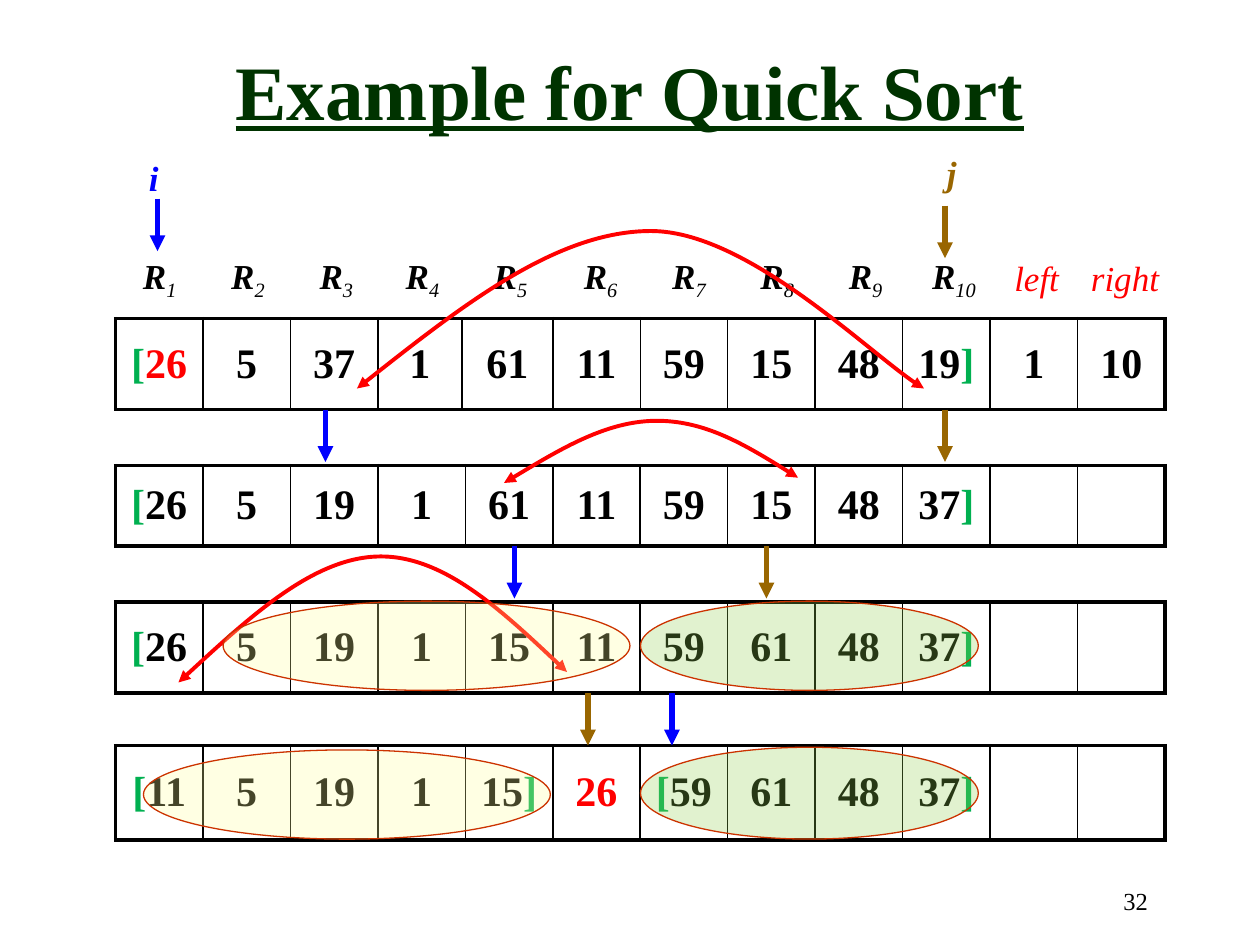
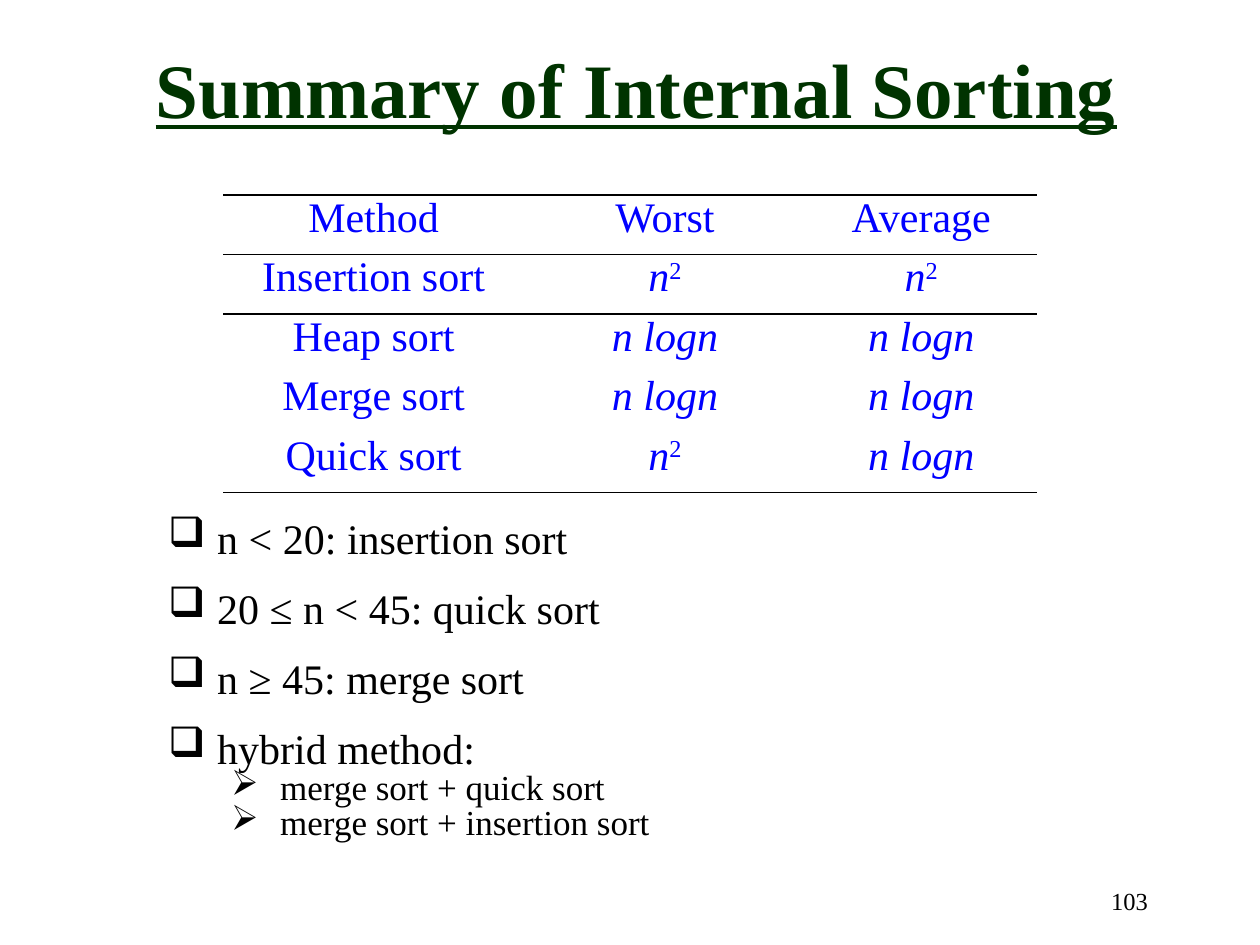
from lxml.etree import SubElement
from pptx import Presentation
from pptx.dml.color import RGBColor
from pptx.enum.shapes import MSO_CONNECTOR, MSO_SHAPE
from pptx.enum.text import MSO_ANCHOR, PP_ALIGN
from pptx.oxml.ns import qn
from pptx.util import Pt

FONT = "Times New Roman"
BLACK = RGBColor(0x00, 0x00, 0x00)
TITLE_GREEN = RGBColor(0x00, 0x33, 0x00)
BRACKET_GREEN = RGBColor(0x00, 0xB0, 0x50)
RED = RGBColor(0xFF, 0x00, 0x00)
BLUE = RGBColor(0x00, 0x00, 0xFF)
BROWN = RGBColor(0x99, 0x66, 0x00)
RUST = RGBColor(0xCC, 0x33, 0x00)
PALE_YELLOW = RGBColor(0xFF, 0xFF, 0x99)
LIME = RGBColor(0x92, 0xD0, 0x50)

NO_TABLE_STYLE = "{2D5ABB26-0587-4C30-8999-92F81FD0307C}"
THIN, THICK = 1, 2.25

# Top, height, values and column of the pivot shown in red
SORT_STEPS = [
    (182, 52, "[26 5 37 1 61 11 59 15 48 19] 1 10", 0),
    (266, 46, "[26 5 19 1 61 11 59 15 48 37]", None),
    (344, 52, "[26 5 19 1 15 11 59 61 48 37]", None),
    (426, 54, "[11 5 19 1 15] 26 [59 61 48 37]", 5),
]
EVEN_COLUMNS = [50] * 12
FIRST_STEP_COLUMNS = [50] * 3 + [48, 52] + [50] * 7
LABEL_COLUMNS = [50.5] * 3 + [48, 52.5] + [50.5] * 5 + [44, 57]

POINTER_ARROWS = [
    (90, 113.5, BLUE), (540, 117.5, BROWN),
    (186, 234, BLUE), (540, 234, BROWN),
    (294, 312, BLUE), (438, 312, BROWN),
    (384, 396, BLUE), (336, 396, BROWN),
]
SWAP_CURVES = [
    [(204, 222), (261, 177), (318, 132), (372, 132), (426, 132), (502, 207), (528, 222)],
    [(102, 390), (140.5, 354.5), (179, 319), (216, 318), (253, 317), (289, 351), (324, 384)],
    [(288, 276), (317, 258.5), (346, 241), (374, 240.5), (402.5, 240), (429, 256), (456, 273)],
]
PARTITIONS = [
    (127.5, 343.5, 232.5, 51, PALE_YELLOW), (366, 343.5, 193, 51, LIME),
    (82, 428.5, 232.5, 51, PALE_YELLOW), (366, 427, 193, 52.5, LIME),
]

SUMMARY_ROWS = [
    ("Method", "Worst", "Average"),
    ("Insertion sort", "n²", "n²"),
    ("Heap sort", "n logn", "n logn"),
    ("Merge sort", "n logn", "n logn"),
    ("Quick sort", "n²", "n logn"),
]
ADVICE = [
    (0, "n < 20: insertion sort"),
    (0, "20 ≤ n < 45: quick sort"),
    (0, "n ≥ 45: merge sort"),
    (0, "hybrid method:"),
    (1, "merge sort + quick sort"),
    (1, "merge sort + insertion sort"),
]


def set_font(paragraph, size, color=None, bold=False, italic=False):
    font = paragraph.font
    font.name, font.size, font.bold, font.italic = FONT, Pt(size), bold, italic
    if color is not None:
        font.color.rgb = color


def add_run(paragraph, text, color=None, baseline=None):
    run = paragraph.add_run()
    run.text = text
    if color is not None:
        run.font.color.rgb = color
    if baseline is not None:
        run._r.get_or_add_rPr().set("baseline", str(baseline * 1000))
    return run


def add_text(slide, box, text, size, color, align=PP_ALIGN.LEFT, bold=False, italic=False):
    frame = slide.shapes.add_textbox(*map(Pt, box)).text_frame
    frame.word_wrap = True
    paragraph = frame.paragraphs[0]
    paragraph.text = text
    paragraph.alignment = align
    set_font(paragraph, size, color, bold, italic)
    return frame


def add_title(slide, box, text):
    frame = add_text(slide, box, text, 44, TITLE_GREEN, PP_ALIGN.CENTER, bold=True)
    frame.vertical_anchor = MSO_ANCHOR.MIDDLE
    frame.paragraphs[0].font.underline = True


def add_page_number(slide, number):
    add_text(slide, (513, 502.5, 150, 36), str(number), 14, BLACK, PP_ALIGN.RIGHT)


def add_plain_table(slide, left, top, column_widths, row_height, row_count=1):
    """Add a table without style, bands or fills."""
    frame = slide.shapes.add_table(
        row_count, len(column_widths), Pt(left), Pt(top),
        Pt(sum(column_widths)), Pt(row_height * row_count))
    table = frame.table
    table.first_row = table.horz_banding = False
    table._tbl.tblPr.find(qn("a:tableStyleId")).text = NO_TABLE_STYLE
    for column, width in zip(table.columns, column_widths):
        column.width = Pt(width)
    for row in table.rows:
        row.height = Pt(row_height)
    return table


def finish_cell(cell, **borders):
    """Draw borders, given as widths by side in the order L, R, T, B, and clear the fill."""
    properties = cell._tc.get_or_add_tcPr()
    for side, width in borders.items():
        line = SubElement(properties, qn(f"a:ln{side}"), w=str(Pt(width)))
        fill = SubElement(line, qn("a:solidFill"))
        SubElement(fill, qn("a:srgbClr"), val=str(BLACK))
    cell.fill.background()


def add_arrowheads(line, *ends):
    for end in ends:
        SubElement(line, qn(f"a:{end}"), type="triangle")


def add_sort_step(slide, left, top, height, values, pivot, column_widths):
    table = add_plain_table(slide, left, top, column_widths, height)
    last = len(column_widths) - 1
    texts = values.split()
    for index, cell in enumerate(table.rows[0].cells):
        cell.vertical_anchor = MSO_ANCHOR.MIDDLE
        finish_cell(cell, L=THIN if index else THICK, R=THICK if index == last else THIN,
                    T=THICK, B=THICK)
        if index >= len(texts):
            continue
        paragraph = cell.text_frame.paragraphs[0]
        paragraph.alignment = PP_ALIGN.CENTER
        set_font(paragraph, 24, bold=True)
        text = texts[index]
        if text.startswith("["):
            add_run(paragraph, "[", BRACKET_GREEN)
        add_run(paragraph, text.strip("[]"), RED if index == pivot else BLACK)
        if text.endswith("]"):
            add_run(paragraph, "]", BRACKET_GREEN)


def add_record_labels(slide, left, top):
    table = add_plain_table(slide, left, top, LABEL_COLUMNS, 52)
    for index, cell in enumerate(table.rows[0].cells):
        cell.vertical_anchor = MSO_ANCHOR.MIDDLE
        finish_cell(cell)
        paragraph = cell.text_frame.paragraphs[0]
        paragraph.alignment = PP_ALIGN.CENTER
        set_font(paragraph, 20, RED if index >= 10 else BLACK, italic=True)
        if index < 10:
            add_run(paragraph, "R").font.bold = True
            add_run(paragraph, str(index + 1), baseline=-25)
        else:
            add_run(paragraph, ("left", "right")[index - 10])


def add_pointer_arrow(slide, x, top, color, length=30):
    arrow = slide.shapes.add_connector(
        MSO_CONNECTOR.STRAIGHT, Pt(x), Pt(top), Pt(x), Pt(top + length))
    arrow.line.color.rgb = color
    arrow.line.width = Pt(3)
    add_arrowheads(arrow.line._get_or_add_ln(), "tailEnd")
    SubElement(arrow._element.spPr, qn("a:effectLst"))


def add_swap_curve(slide, points):
    """Draw a double-headed Bézier curve: a start, then two controls and an end per piece."""
    start, *others = [(Pt(x), Pt(y)) for x, y in points]
    builder = slide.shapes.build_freeform(*start)
    builder.add_line_segments(others, close=False)
    curve = builder.convert_to_shape()
    outline = next(curve._element.iter(qn("a:path")))
    segments = outline.findall(qn("a:lnTo"))
    for first in range(0, len(segments), 3):
        bezier = SubElement(outline, qn("a:cubicBezTo"))
        for segment in segments[first:first + 3]:
            bezier.append(segment[0])
            outline.remove(segment)
    curve.shadow.inherit = False
    curve.fill.background()
    curve.line.color.rgb = RED
    curve.line.width = Pt(2.25)
    add_arrowheads(curve.line._get_or_add_ln(), "headEnd", "tailEnd")


def add_partition(slide, left, top, width, height, color):
    """Mark a sublist with a translucent ellipse."""
    ellipse = slide.shapes.add_shape(
        MSO_SHAPE.OVAL, Pt(left), Pt(top), Pt(width), Pt(height))
    ellipse.shadow.inherit = False
    ellipse.fill.solid()
    ellipse.fill.fore_color.rgb = color
    color_element = ellipse._element.spPr.find(qn("a:solidFill"))[0]
    SubElement(color_element, qn("a:alpha"), val="27000")
    ellipse.line.color.rgb = RUST
    ellipse.line.width = Pt(0.75)


def add_summary_table(slide, left, top):
    table = add_plain_table(slide, left, top, [172, 161, 132], 34, len(SUMMARY_ROWS))
    rules = {0: {"T": THIN, "B": THIN}, 1: {"T": THIN}, len(SUMMARY_ROWS) - 1: {"B": THIN}}
    for row_index, texts in enumerate(SUMMARY_ROWS):
        for column_index, text in enumerate(texts):
            cell = table.cell(row_index, column_index)
            cell.margin_left = cell.margin_right = Pt(5)
            cell.margin_top = cell.margin_bottom = 0
            finish_cell(cell, **rules.get(row_index, {}))
            paragraph = cell.text_frame.paragraphs[0]
            paragraph.alignment = PP_ALIGN.CENTER
            set_font(paragraph, 24, BLUE)
            run = add_run(paragraph, text.rstrip("²"))
            run.font.italic = row_index > 0 and column_index > 0
            if text.endswith("²"):
                add_run(paragraph, "2", baseline=30)


def add_advice_list(slide, box):
    frame = slide.shapes.add_textbox(*map(Pt, box)).text_frame
    frame.word_wrap = True
    for index, (level, text) in enumerate(ADVICE):
        paragraph = frame.add_paragraph() if index else frame.paragraphs[0]
        paragraph.text = text
        paragraph.level = level
        paragraph.line_spacing = Pt(20)
        if index and level == 0:
            paragraph.space_before = Pt(20)
        properties = paragraph._p.get_or_add_pPr()
        properties.set("marL", str(Pt(28 + 36 * level)))
        properties.set("indent", str(Pt(-28)))
        SubElement(properties, qn("a:buChar"), char="❑➢"[level])
        set_font(paragraph, 24 - 4 * level, BLACK)


def build_quick_sort_slide(slide):
    add_page_number(slide, 32)
    add_title(slide, (3, 6, 714, 90), "Example for Quick Sort")
    for index, step in enumerate(SORT_STEPS):
        add_sort_step(slide, 66, *step, EVEN_COLUMNS if index else FIRST_STEP_COLUMNS)
    add_record_labels(slide, 66, 134)
    add_text(slide, (78, 86, 30, 31), "i", 20, BLUE, bold=True, italic=True)
    add_text(slide, (534, 83, 30, 31), "j", 20, BROWN, bold=True, italic=True)
    for arrow in POINTER_ARROWS:
        add_pointer_arrow(slide, *arrow)
    for points in SWAP_CURVES:
        add_swap_curve(slide, points)
    for partition in PARTITIONS:
        add_partition(slide, *partition)


def build_summary_slide(slide):
    add_page_number(slide, 103)
    add_title(slide, (50, 12, 627, 76), "Summary of Internal Sorting")
    add_advice_list(slide, (89, 298, 588, 190))
    add_summary_table(slide, 127.5, 111.5)


def main():
    presentation = Presentation()
    presentation.slide_width, presentation.slide_height = Pt(720), Pt(540)
    blank = presentation.slide_layouts[6]
    for build in (build_quick_sort_slide, build_summary_slide):
        build(presentation.slides.add_slide(blank))
    presentation.save("out.pptx")


if __name__ == "__main__":
    main()
